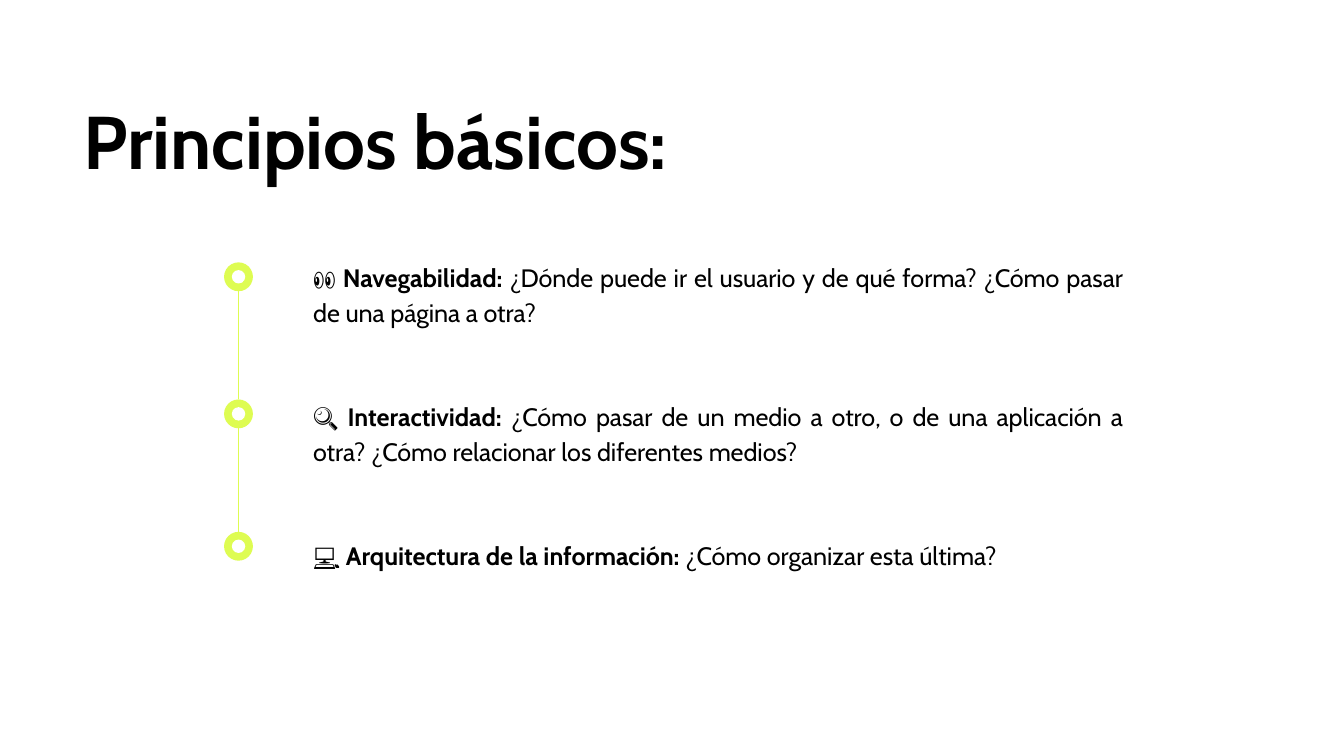
import dataclasses

import lxml.etree
import pptx
import pptx.dml.color
import pptx.enum.shapes
import pptx.enum.text
import pptx.oxml.ns
import pptx.util


@dataclasses.dataclass(frozen=True)
class Theme:
    """Colours, font and type sizes of the deck."""
    ink: str = "000000"
    paper: str = "FFFFFF"
    accent: str = "DEFC52"
    font: str = "Cabin"
    title_size: float = 40
    body_size: float = 13.5
    item_gap: float = 37.2
    line_width: float = 0.75


def color(code):
    """Return an RGB colour from its hex code."""
    return pptx.dml.color.RGBColor.from_string(code)


class SlideBuilder:
    """Draw elements on a slide, measured in grid cells of a tenth of an inch."""
    CELL = 0.1

    def __init__(self, deck, theme):
        """Add a title and content page to the deck."""
        self.theme = theme
        self.page = deck.slides.add_slide(deck.slide_layouts[1])
        fill = self.page.background.fill
        fill.solid()
        fill.fore_color.rgb = color(theme.paper)

    def cells(self, count):
        """Turn grid cells into a length."""
        return pptx.util.Inches(count * self.CELL)

    def place(self, box, left, top, width, height):
        """Move a placeholder and give its text frame even margins."""
        box.left, box.top = self.cells(left), self.cells(top)
        box.width, box.height = self.cells(width), self.cells(height)
        frame = box.text_frame
        frame.word_wrap = True
        frame.auto_size = pptx.enum.text.MSO_AUTO_SIZE.NONE
        frame.vertical_anchor = pptx.enum.text.MSO_ANCHOR.TOP
        frame.margin_left = frame.margin_right = self.cells(1)
        frame.margin_top = frame.margin_bottom = self.cells(1)
        return frame

    def style(self, span, size, bold):
        """Apply the theme's font to a run."""
        span.font.name = self.theme.font
        span.font.size = pptx.util.Pt(size)
        span.font.bold = bold
        span.font.color.rgb = color(self.theme.ink)

    def title(self, text, *area):
        """Fill the title placeholder."""
        frame = self.place(self.page.shapes.title, *area)
        frame.text = text
        para = frame.paragraphs[0]
        para.alignment = pptx.enum.text.PP_ALIGN.LEFT
        para.line_spacing = 0.9
        self.style(para.runs[0], self.theme.title_size, True)

    def items(self, entries, *area):
        """Fill the body placeholder with a bold term and a question per entry."""
        frame = self.place(self.page.placeholders[1], *area)
        for index, (term, question) in enumerate(entries):
            para = frame.add_paragraph() if index else frame.paragraphs[0]
            properties = para._p.get_or_add_pPr()
            properties.set("marL", "0")
            properties.set("indent", "0")
            lxml.etree.SubElement(properties, pptx.oxml.ns.qn("a:buNone"))
            para.alignment = pptx.enum.text.PP_ALIGN.JUSTIFY
            para.line_spacing = 1.15
            para.space_before = pptx.util.Pt(self.theme.item_gap if index else 0)
            for text, bold in ((term, True), (" " + question, False)):
                span = para.add_run()
                span.text = text
                self.style(span, self.theme.body_size, bold)

    def ring(self, x, y, outer, inner):
        """Group two concentric discs into a ring marker."""
        group = self.page.shapes.add_group_shape()
        for size, code in ((outer, self.theme.accent), (inner, self.theme.paper)):
            disc = group.shapes.add_shape(
                pptx.enum.shapes.MSO_SHAPE.OVAL,
                self.cells(x - size / 2), self.cells(y - size / 2),
                self.cells(size), self.cells(size))
            disc.shadow.inherit = False
            disc.fill.solid()
            disc.fill.fore_color.rgb = color(code)
            disc.line.fill.background()

    def vertical(self, x, top, bottom):
        """Draw a thin vertical line."""
        line = self.page.shapes.add_connector(
            pptx.enum.shapes.MSO_CONNECTOR.STRAIGHT,
            self.cells(x), self.cells(top), self.cells(x), self.cells(bottom))
        line.line.color.rgb = color(self.theme.accent)
        line.line.width = pptx.util.Pt(self.theme.line_width)
        lxml.etree.SubElement(line._element.spPr, pptx.oxml.ns.qn("a:effectLst"))

    def timeline(self, x, centers, outer, inner):
        """Draw ring markers joined by vertical lines."""
        for y in centers:
            self.ring(x, y, outer, inner)
        for start, end in zip(centers, centers[1:]):
            self.vertical(x, start + outer / 2, end - outer / 2)


PRINCIPLES = (
    ("👀 Navegabilidad:",
     "¿Dónde puede ir el usuario y de qué forma? ¿Cómo pasar de una página a otra?"),
    ("🔍 Interactividad:",
     "¿Cómo pasar de un medio a otro, o de una aplicación a otra? "
     "¿Cómo relacionar los diferentes medios?"),
    ("💻 Arquitectura de la información:", "¿Cómo organizar esta última?"),
)


def main():
    """Build and save the deck."""
    deck = pptx.Presentation()
    deck.slide_width = pptx.util.Inches(10)
    deck.slide_height = pptx.util.Inches(10 * 9 / 16)
    slide = SlideBuilder(deck, Theme())
    slide.title("Principios básicos:", 5.2, 6.8, 89, 8.1)
    slide.items(PRINCIPLES, 22.3, 18.2, 62.3, 25.2)
    slide.timeline(17.75, (20.6, 30.8, 40.65), 2.15, 1)
    deck.save("out.pptx")


if __name__ == "__main__":
    main()
